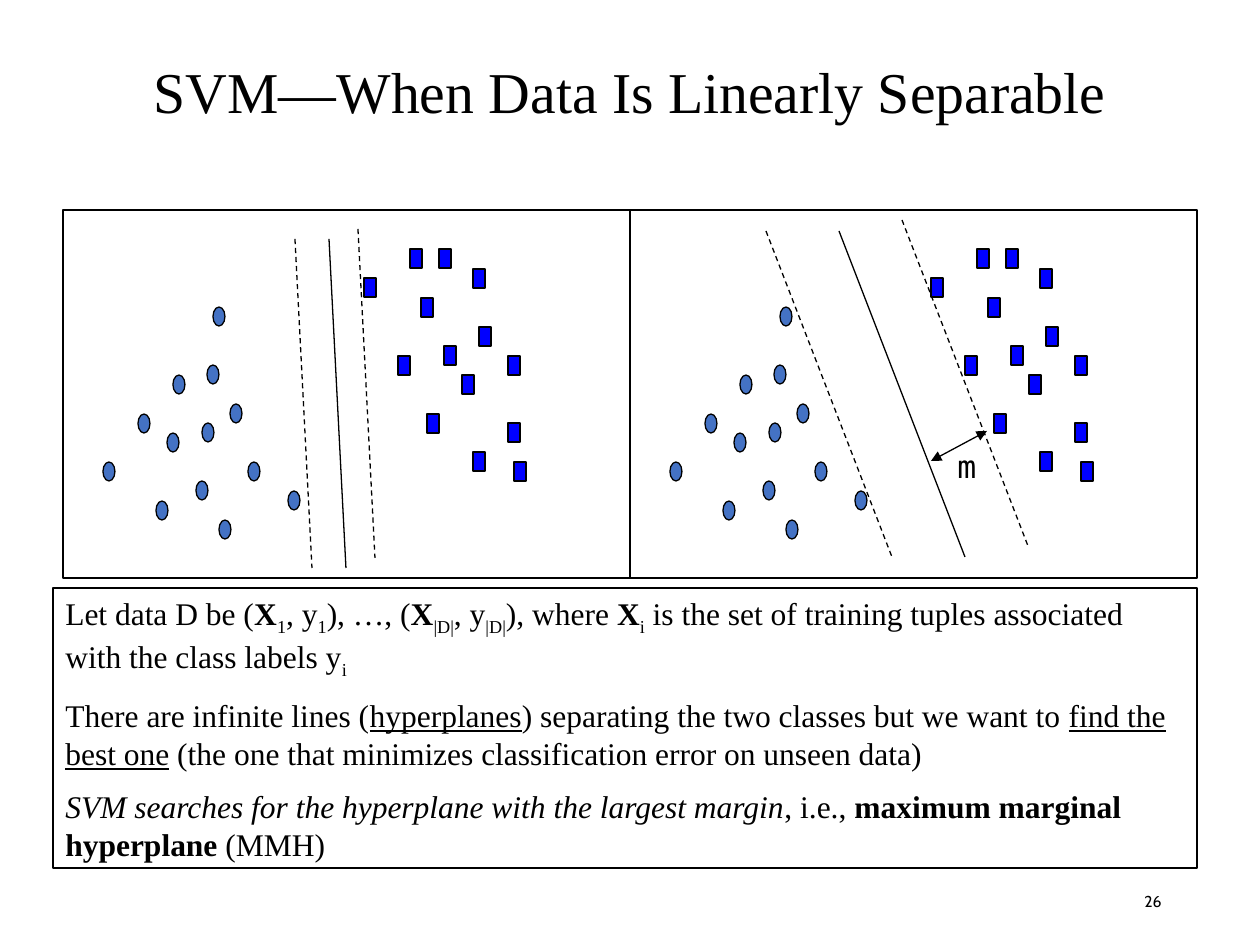
from dataclasses import dataclass
from typing import NamedTuple

from pptx import Presentation
from pptx import util as u
from pptx.dml.color import RGBColor
from pptx.enum import dml, shapes, text
from pptx.oxml.ns import qn
from lxml import etree

EMU_PER_PX = 914400 / 126
COLORS = {"ink": "000000", "circle": "4472C4", "square": "0000FF"}
SERIF = "Times New Roman"
MARKER_WIDTH, MARKER_HEIGHT = 12, 19


class Box(NamedTuple):
    left: int
    top: int
    width: int
    height: int


class Line(NamedTuple):
    x1: int
    y1: int
    x2: int
    y2: int
    dashed: bool = False


class Piece(NamedTuple):
    words: str
    style: str = ""  # any of: b bold, i italic, u underlined, s subscript


@dataclass
class Panel:
    box: Box
    lines: list[Line]  # relative to the panel's corner


# Marker centres, relative to the panel's corner
CIRCLES = [(99, 300), (110, 232), (46, 261), (81, 213), (139, 280), (116, 174), (145, 222),
           (150, 164), (173, 203), (191, 261), (162, 319), (231, 290), (156, 106)]
SQUARES = [(341, 155), (307, 77), (353, 48), (370, 213), (364, 97), (387, 145), (382, 48),
           (416, 68), (405, 174), (422, 126), (416, 251), (451, 155), (451, 222), (457, 261)]

PANELS = [
    Panel(Box(63, 210, 567, 368),
          [Line(295, 19, 312, 348, True), Line(232, 29, 249, 358, True),
           Line(266, 29, 283, 358)]),
    Panel(Box(630, 210, 567, 368),
          [Line(136, 21, 262, 347, True), Line(272, 10, 398, 336, True),
           Line(209, 21, 335, 347)]),
]
MARGIN_ARROW = Line(931, 461, 987, 431)

EXPLANATION = [
    [Piece("Let data D be ("), Piece("X", "b"), Piece("1", "s"), Piece(", y"), Piece("1", "s"),
     Piece("), …, ("), Piece("X", "b"), Piece("|D|", "s"), Piece(", y"), Piece("|D|", "s"),
     Piece("), where "), Piece("X", "b"), Piece("i", "s"),
     Piece(" is the set of training tuples associated with the class labels y"),
     Piece("i", "s")],
    [Piece("There are infinite lines ("), Piece("hyperplanes", "u"),
     Piece(") separating the two classes but we want to "), Piece("find the best one", "u"),
     Piece(" (the one that minimizes classification error on unseen data)")],
    [Piece("SVM searches for the hyperplane with the largest margin", "i"), Piece(", i.e., "),
     Piece("maximum marginal hyperplane", "b"), Piece(" (MMH)")],
]


def emu(px: float) -> u.Emu:
    return u.Emu(round(px * EMU_PER_PX))


def color(name: str) -> RGBColor:
    return RGBColor.from_string(COLORS[name])


def add_outlined(slide, kind, box: Box, fill: str | None = None):
    shape = slide.shapes.add_shape(kind, *map(emu, box))
    shape.shadow.inherit = False
    if fill:
        shape.fill.solid()
        shape.fill.fore_color.rgb = color(fill)
    else:
        shape.fill.background()
    shape.line.color.rgb = color("ink")
    shape.line.width = u.Pt(0.75)
    return shape


def add_line(slide, line: Line, dx: int = 0, dy: int = 0, arrows: bool = False) -> None:
    connector = slide.shapes.add_connector(
        shapes.MSO_CONNECTOR.STRAIGHT, emu(line.x1 + dx), emu(line.y1 + dy),
        emu(line.x2 + dx), emu(line.y2 + dy))
    connector.line.color.rgb = color("ink")
    connector.line.width = u.Pt(0.75)
    if line.dashed:
        connector.line.dash_style = dml.MSO_LINE.DASH
    if arrows:
        outline = connector.line._get_or_add_ln()
        for end in ("a:headEnd", "a:tailEnd"):
            etree.SubElement(outline, qn(end), type="triangle")
    etree.SubElement(connector._element.spPr, qn("a:effectLst"))


def write(paragraph, pieces: list[Piece], size: int, font: str, align=text.PP_ALIGN.LEFT) -> None:
    paragraph.alignment = align
    for piece in pieces:
        run = paragraph.add_run()
        run.text = piece.words
        run.font.size = u.Pt(size)
        run.font.name = font
        run.font.color.rgb = color("ink")
        run.font.bold = "b" in piece.style
        run.font.italic = "i" in piece.style
        run.font.underline = "u" in piece.style
        if "s" in piece.style:
            run.font._element.set("baseline", "-25000")


def add_label(slide, box: Box, words: str, size: int, font: str,
              align=text.PP_ALIGN.LEFT, anchor=text.MSO_ANCHOR.TOP) -> None:
    frame = slide.shapes.add_textbox(*map(emu, box)).text_frame
    frame.word_wrap = True
    frame.vertical_anchor = anchor
    write(frame.paragraphs[0], [Piece(words)], size, font, align)


def set_title(slide, box: Box, words: str) -> None:
    title = slide.shapes.title
    title.left, title.top, title.width, title.height = map(emu, box)
    title.text_frame.vertical_anchor = text.MSO_ANCHOR.MIDDLE
    paragraph = title.text_frame.paragraphs[0]
    paragraph.line_spacing = 0.9
    write(paragraph, [Piece(words)], 33, SERIF, text.PP_ALIGN.CENTER)


def add_panel(slide, panel: Panel) -> None:
    left, top = panel.box.left, panel.box.top
    for kind, centres, fill in ((shapes.MSO_SHAPE.OVAL, CIRCLES, "circle"),
                                (shapes.MSO_SHAPE.RECTANGLE, SQUARES, "square")):
        for x, y in centres:
            marker = Box(left + x - MARKER_WIDTH // 2, top + y - MARKER_HEIGHT // 2,
                         MARKER_WIDTH, MARKER_HEIGHT)
            add_outlined(slide, kind, marker, fill)
    add_outlined(slide, shapes.MSO_SHAPE.RECTANGLE, panel.box)
    for line in panel.lines:
        add_line(slide, line, left, top)


def add_explanation(slide, box: Box) -> None:
    frame = add_outlined(slide, shapes.MSO_SHAPE.RECTANGLE, box).text_frame
    frame.word_wrap = True
    frame.vertical_anchor = text.MSO_ANCHOR.TOP
    for index, pieces in enumerate(EXPLANATION):
        paragraph = frame.add_paragraph() if index else frame.paragraphs[0]
        paragraph.space_before = u.Pt(9)
        write(paragraph, pieces, 18, SERIF)


def main() -> None:
    presentation = Presentation()
    presentation.slide_width, presentation.slide_height = emu(1260), emu(945)
    slide = presentation.slides.add_slide(presentation.slide_layouts[5])
    add_label(slide, Box(890, 876, 284, 50), "26", 9, "Cabin",
              text.PP_ALIGN.RIGHT, text.MSO_ANCHOR.MIDDLE)
    set_title(slide, Box(0, 53, 1260, 84), "SVM—When Data Is Linearly Separable")
    for panel in PANELS:
        add_panel(slide, panel)
    add_line(slide, MARGIN_ARROW, arrows=True)
    add_label(slide, Box(945, 441, 73, 50), "m", 18, "DejaVu Sans Mono")
    add_explanation(slide, Box(53, 588, 1144, 280))
    presentation.save("out.pptx")


if __name__ == "__main__":
    main()
